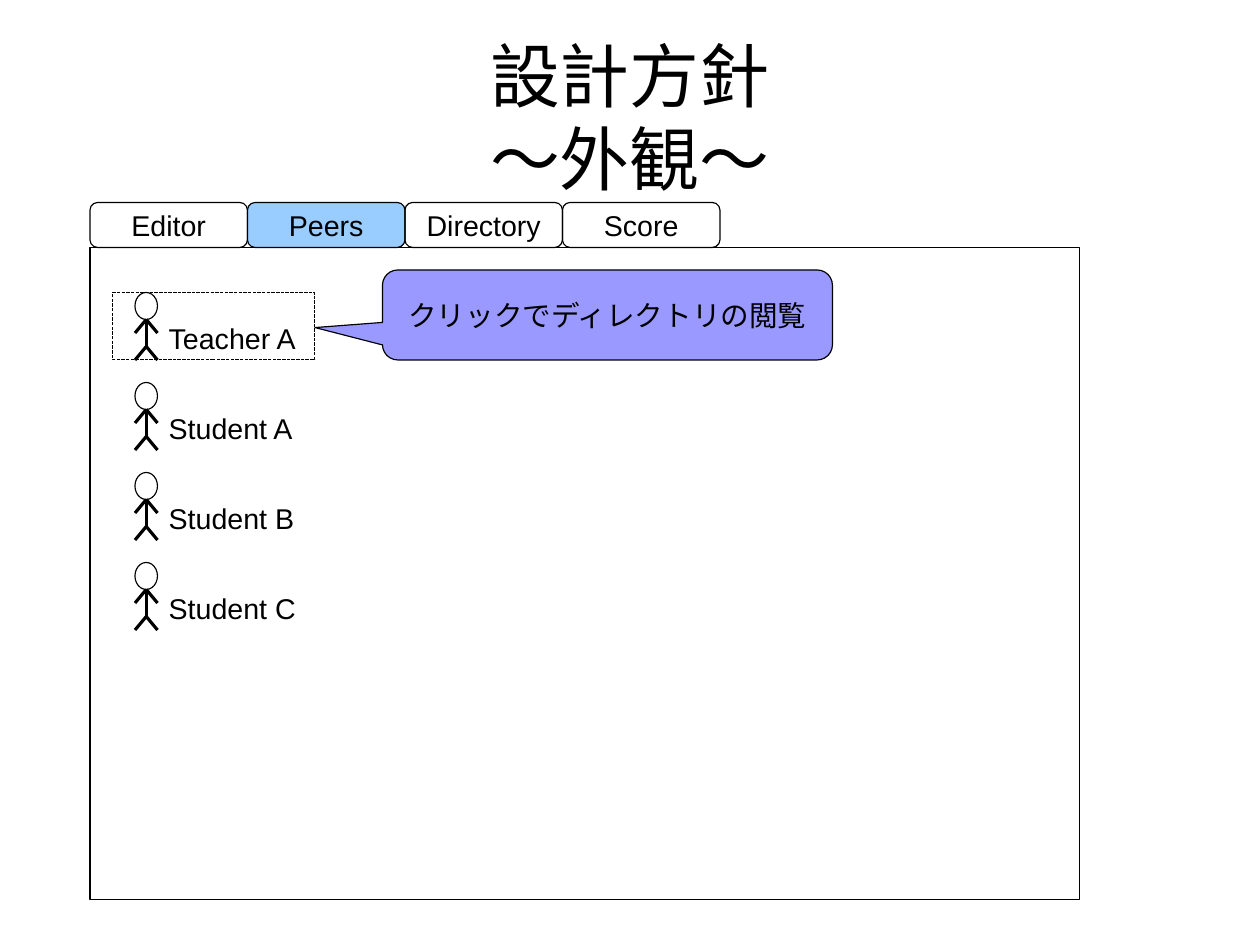
from dataclasses import dataclass

from lxml.etree import SubElement
from pptx import Presentation
from pptx.dml.color import RGBColor
from pptx.enum.dml import MSO_LINE
from pptx.enum.shapes import MSO_CONNECTOR, MSO_SHAPE
from pptx.enum.text import MSO_ANCHOR, PP_ALIGN
from pptx.oxml.ns import qn
from pptx.util import Cm, Pt


@dataclass(frozen=True)
class Theme:
    font: str = "Arial"
    ink: RGBColor = RGBColor(0x00, 0x00, 0x00)
    active: RGBColor = RGBColor(0x99, 0xCC, 0xFF)
    callout: RGBColor = RGBColor(0x99, 0x99, 0xFF)
    title_size: int = 44
    body_size: int = 18
    hairline: int = 0


class Deck:
    """Draws styled elements on a slide divided into 28 columns and 21 rows."""

    COLS, ROWS = 28, 21

    def __init__(self, theme):
        self.theme = theme
        self.prs = Presentation()
        self.prs.slide_width, self.prs.slide_height = Cm(28), Cm(21)
        self.slide = self.prs.slides.add_slide(self.prs.slide_layouts[6])

    def x(self, cols):
        return round(self.prs.slide_width * cols / self.COLS)

    def y(self, rows):
        return round(self.prs.slide_height * rows / self.ROWS)

    def box(self, left, top, width, height):
        return self.x(left), self.y(top), self.x(width), self.y(height)

    def outline(self, line):
        line.color.rgb = self.theme.ink
        line.width = Pt(self.theme.hairline)

    def add_text(self, tf, lines, size, align, wrap=True):
        tf.word_wrap = wrap
        p = tf.paragraphs[0]
        p.alignment = align
        for i, text in enumerate(lines):
            if i:
                p.add_line_break()
            r = p.add_run()
            r.text = text
            r.font.name = self.theme.font
            r.font.size = Pt(size)
            r.font.color.rgb = self.theme.ink

    def title(self, lines, *box):
        tf = self.slide.shapes.add_textbox(*self.box(*box)).text_frame
        tf.margin_left = tf.margin_right = tf.margin_top = tf.margin_bottom = 0
        tf.vertical_anchor = MSO_ANCHOR.MIDDLE
        self.add_text(tf, lines, self.theme.title_size, PP_ALIGN.CENTER)

    def label(self, text, *box):
        tf = self.slide.shapes.add_textbox(*self.box(*box)).text_frame
        self.add_text(tf, [text], self.theme.body_size, PP_ALIGN.LEFT)

    def shape(self, kind, *box, fill=None, text=None, wrap=True, adj=(), dash=None):
        sp = self.slide.shapes.add_shape(kind, *self.box(*box))
        sp.shadow.inherit = False
        if fill is None:
            sp.fill.background()
        else:
            sp.fill.solid()
            sp.fill.fore_color.rgb = fill
        self.outline(sp.line)
        if dash is not None:
            sp.line.dash_style = dash
        for i, value in enumerate(adj):
            sp.adjustments[i] = value
        if text:
            sp.text_frame.vertical_anchor = MSO_ANCHOR.MIDDLE
            self.add_text(sp.text_frame, [text], self.theme.body_size, PP_ALIGN.CENTER, wrap)

    def line(self, x1, y1, x2, y2):
        cxn = self.slide.shapes.add_connector(
            MSO_CONNECTOR.STRAIGHT, self.x(x1), self.y(y1), self.x(x2), self.y(y2))
        self.outline(cxn.line)
        SubElement(cxn._element.spPr, qn("a:effectLst"))

    def person(self, left, top):
        mid, right = left + 0.25, left + 0.5
        neck, hip = top + 0.6, top + 1.2
        self.shape(MSO_SHAPE.OVAL, left, top, 0.5, 0.6)
        self.line(mid, neck, mid, hip)
        for joint in (neck, hip):
            for end in (left, right):
                self.line(mid, joint, end, joint + 0.3)

    def tab(self, text, left, top, width, active=False):
        fill = self.theme.active if active else None
        self.shape(MSO_SHAPE.ROUNDED_RECTANGLE, left, top, width, 1,
                   fill=fill, text=text, adj=(0.17,))


def main():
    deck = Deck(Theme())
    deck.title(["設計方針", "～外観～"], 1.4, 0.33, 25.2, 4.5)

    tab_width = 3.5
    for i, name in enumerate(["Editor", "Peers", "Directory", "Score"]):
        deck.tab(name, 2 + tab_width * i, 4.5, tab_width, active=name == "Peers")
    deck.shape(MSO_SHAPE.RECTANGLE, 2, 5.5, 22, 14.5)

    for i, peer in enumerate(["Teacher A", "Student A", "Student B", "Student C"]):
        top = 6.5 + 2 * i
        deck.person(3, top)
        deck.label(peer, 3.5, top + 0.5, 4, 0.97)

    deck.shape(MSO_SHAPE.RECTANGLE, 2.5, 6.5, 4.5, 1.5, dash=MSO_LINE.SQUARE_DOT)
    deck.shape(MSO_SHAPE.ROUNDED_RECTANGULAR_CALLOUT, 8.5, 6, 10, 2,
               fill=deck.theme.callout, text="クリックでディレクトリの閲覧",
               wrap=False, adj=(-0.65, 0.14, 0.17))

    deck.prs.save("out.pptx")


if __name__ == "__main__":
    main()
